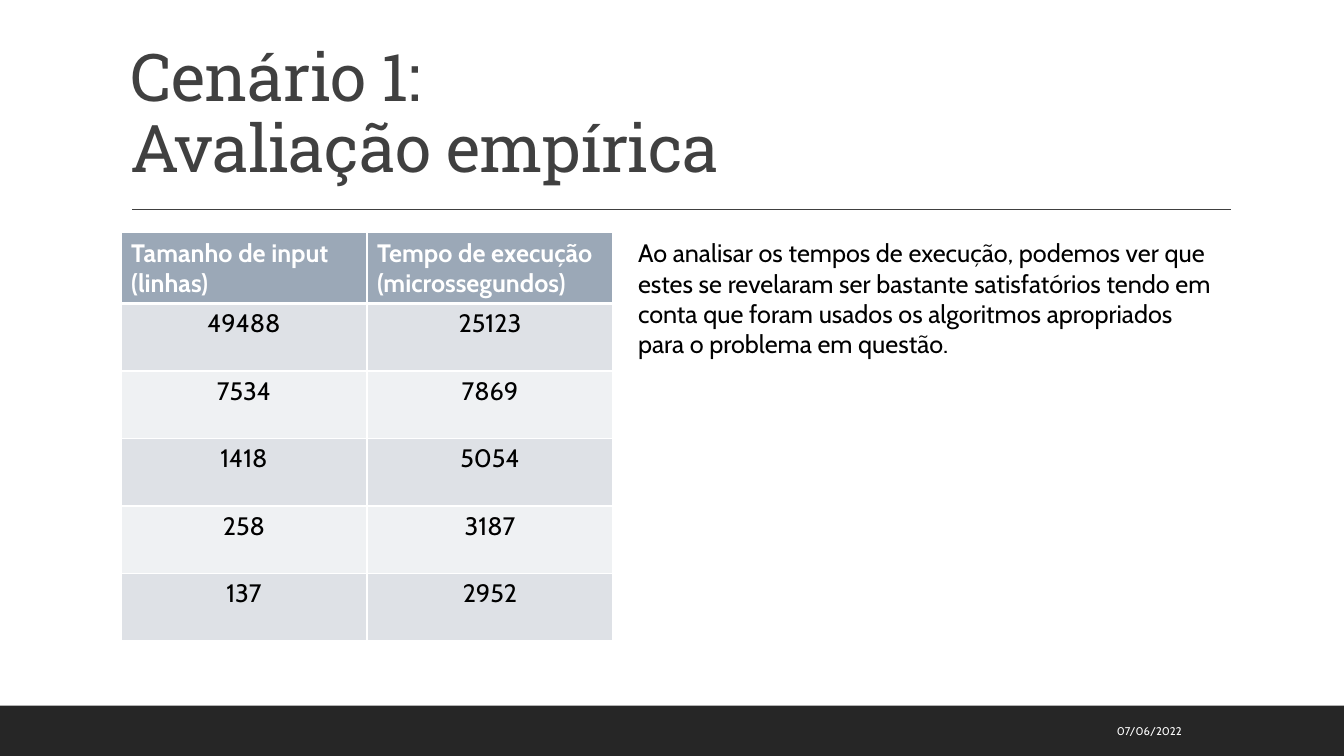
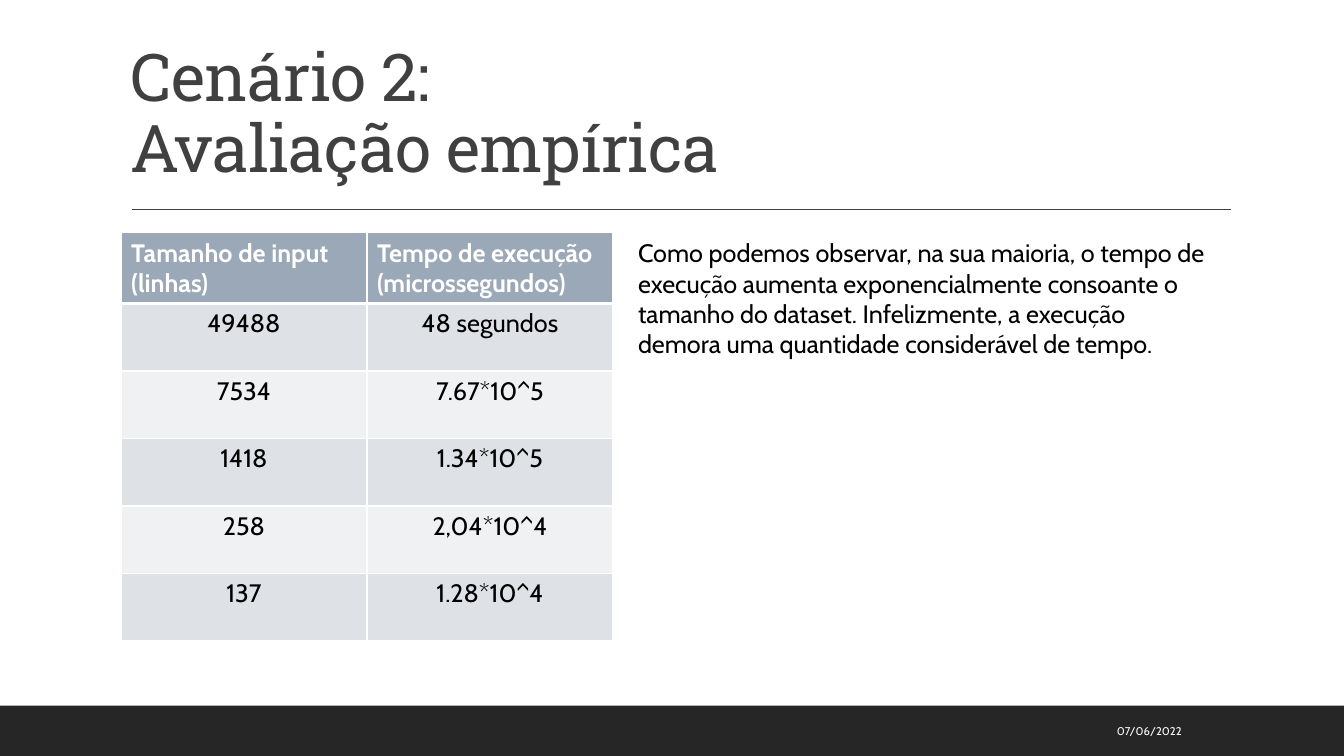
import pptx
import pptx.util
import pptx.dml.color
import pptx.enum.shapes
import pptx.enum.text
import pptx.oxml.ns
from lxml import etree

Inches = pptx.util.Inches
Pt = pptx.util.Pt
ALIGN = pptx.enum.text.PP_ALIGN
ANCHOR = pptx.enum.text.MSO_ANCHOR

# Shared look
COLORS = {
    "band": "262626", "title": "404040", "white": "FFFFFF", "text": "000000",
    "head": "9BA8B7", "odd": "DEE1E6", "even": "EFF1F3",
}
HEAD_FONT, BODY_FONT = "Roboto Slab", "Cabin"
DATE = "07/06/2022"
HEADS = ["Tamanho de input\n(linhas)", "Tempo de execução (microssegundos)"]
SIZES = ["49488", "7534", "1418", "258", "137"]

# Content of each slide: title, run times, comment
SLIDES = [
    ("Cenário 1:\vAvaliação empírica",
     ["25123", "7869", "5054", "3187", "2952"],
     "Ao analisar os tempos de execução, podemos ver que estes se revelaram "
     "ser bastante satisfatórios tendo em conta que foram usados os "
     "algoritmos apropriados para o problema em questão."),
    ("Cenário 2:\vAvaliação empírica",
     ["48 segundos", "7.67*10^5", "1.34*10^5", "2,04*10^4", "1.28*10^4"],
     "Como podemos observar, na sua maioria, o tempo de execução aumenta "
     "exponencialmente consoante o tamanho do dataset. Infelizmente, a "
     "execução demora uma quantidade considerável de tempo."),
]


def rgb(name):
    return pptx.dml.color.RGBColor.from_string(COLORS[name])


def style(frame, size, color, font=BODY_FONT, bold=False, align=ALIGN.LEFT):
    for par in frame.paragraphs:
        par.alignment = align
        for run in par.runs:
            run.font.name = font
            run.font.size = Pt(size)
            run.font.bold = bold
            run.font.color.rgb = rgb(color)


def add_text(slide, box, text, size, color, anchor=ANCHOR.TOP, **look):
    frame = slide.shapes.add_textbox(*map(Inches, box)).text_frame
    frame.word_wrap = True
    frame.vertical_anchor = anchor
    frame.text = text
    style(frame, size, color, **look)
    return frame


def add_title(slide, text):
    frame = add_text(slide, (1.2, 0.31, 11, 1.59), text, 47, "title",
                     ANCHOR.BOTTOM, font=HEAD_FONT)
    par = frame.paragraphs[0]
    par.line_spacing = 0.9
    for run in par.runs:
        run.font._element.set("spc", "-50")


def add_frame(slide):
    # Footer band
    band = slide.shapes.add_shape(
        pptx.enum.shapes.MSO_SHAPE.RECTANGLE,
        Inches(0), Inches(7), Inches(13.33), Inches(0.5))
    band.shadow.inherit = False
    band.fill.solid()
    band.fill.fore_color.rgb = rgb("band")
    band.line.fill.background()
    # Rule under the title
    rule = slide.shapes.add_connector(
        pptx.enum.shapes.MSO_CONNECTOR.STRAIGHT,
        Inches(1.31), Inches(2.08), Inches(12.21), Inches(2.08))
    rule.line.color.rgb = rgb("title")
    rule.line.width = Pt(1)
    etree.SubElement(rule._element.spPr, pptx.oxml.ns.qn("a:effectLst"))
    # Date
    add_text(slide, (8.99, 7.05, 2.83, 0.4), DATE, 8, "white",
             ANCHOR.MIDDLE, align=ALIGN.RIGHT)


def add_edges(cell, top, bottom):
    qn = pptx.oxml.ns.qn
    props = cell._tc.get_or_add_tcPr()
    widths = {"lnL": 1, "lnR": 1, "lnT": top, "lnB": bottom}
    for pos, (tag, width) in enumerate(widths.items()):
        edge = etree.Element(qn("a:" + tag), w=str(Pt(width)))
        fill = etree.SubElement(edge, qn("a:solidFill"))
        etree.SubElement(fill, qn("a:srgbClr"), val=COLORS["white"])
        props.insert(pos, edge)


def add_table(slide, times):
    rows = [HEADS, *zip(SIZES, times)]
    table = slide.shapes.add_table(
        len(rows), 2, Inches(1.2), Inches(2.31),
        Inches(4.88), Inches(0.67 * len(rows))).table
    for i, row in enumerate(rows):
        head = i == 0
        fill = "head" if head else ("odd" if i % 2 else "even")
        for j, text in enumerate(row):
            cell = table.cell(i, j)
            cell.text_frame.text = text
            style(cell.text_frame, 18, "white" if head else "text", bold=head,
                  align=ALIGN.LEFT if head else ALIGN.CENTER)
            cell.fill.solid()
            cell.fill.fore_color.rgb = rgb(fill)
            add_edges(cell, 3 if i == 1 else 1, 3 if head else 1)


def main():
    deck = pptx.Presentation()
    deck.slide_width, deck.slide_height = Inches(13.33), Inches(7.5)
    for title, times, note in SLIDES:
        slide = deck.slides.add_slide(deck.slide_layouts[6])
        add_frame(slide)
        add_title(slide, title)
        add_table(slide, times)
        add_text(slide, (6.23, 2.31, 5.9, 1.31), note, 18, "text")
    deck.save("out.pptx")


if __name__ == "__main__":
    main()
